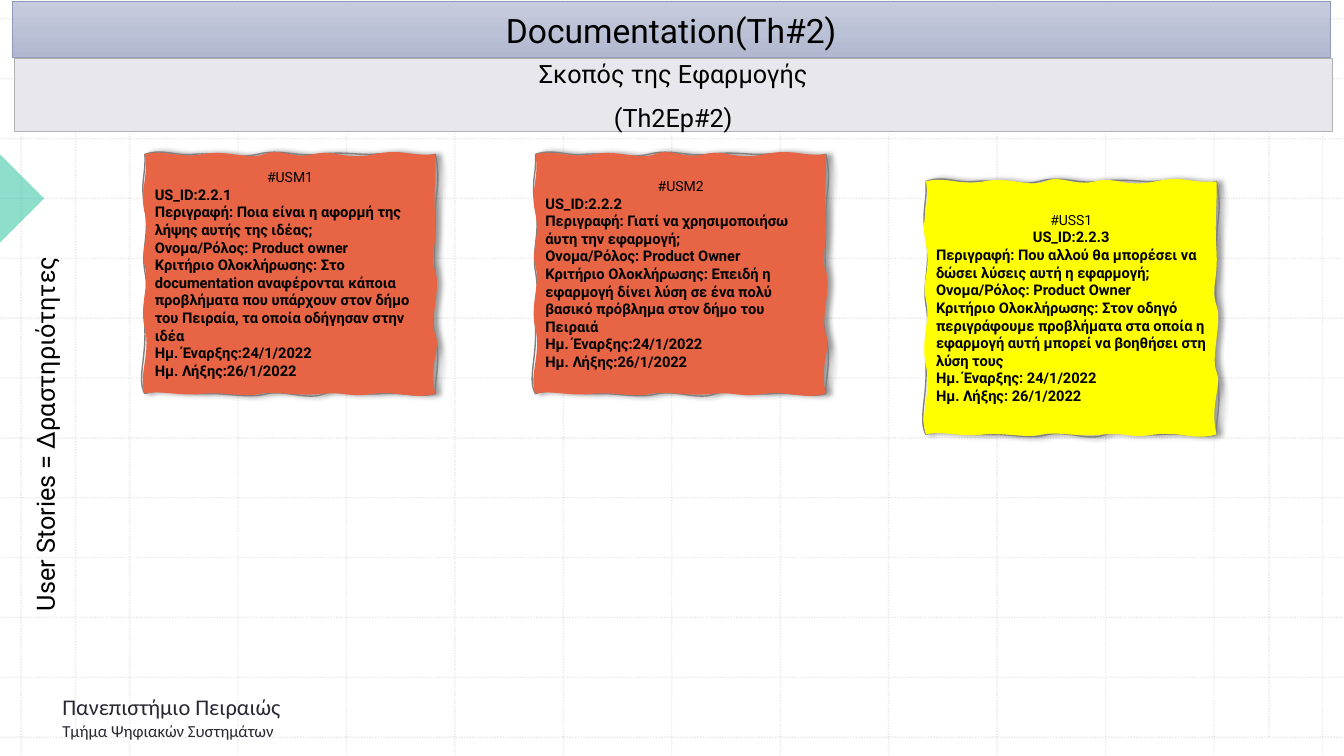
from lxml import etree
from pptx import Presentation
from pptx.dml.color import RGBColor
from pptx.enum.dml import MSO_LINE
from pptx.enum.shapes import MSO_CONNECTOR, MSO_SHAPE
from pptx.enum.text import MSO_ANCHOR, MSO_AUTO_SIZE, PP_ALIGN
from pptx.oxml import parse_xml
from pptx.oxml.ns import nsdecls, qn
from pptx.util import Pt

LEFT, CENTER = PP_ALIGN.LEFT, PP_ALIGN.CENTER
TOP, MIDDLE = MSO_ANCHOR.TOP, MSO_ANCHOR.MIDDLE
NO_FIT = MSO_AUTO_SIZE.NONE
RECT, CORNER = MSO_SHAPE.RECTANGLE, MSO_SHAPE.RIGHT_TRIANGLE
STRAIGHT, DOTS = MSO_CONNECTOR.STRAIGHT, MSO_LINE.ROUND_DOT

BLACK = RGBColor(0x00, 0x00, 0x00)
INK = RGBColor(0x2A, 0x27, 0x35)
GRID = RGBColor(0xBC, 0xBC, 0xBC)
MINT = RGBColor(0x1E, 0xBE, 0x9B)
PALE = RGBColor(0xE8, 0xE7, 0xED)
SILVER = RGBColor(0xB2, 0xB2, 0xB2)
LIGHT = RGBColor(0xC7, 0xCC, 0xDC)
DEEP = RGBColor(0xB1, 0xB8, 0xD0)
EDGE = RGBColor(0x8F, 0x99, 0xBB)
GRAY = RGBColor(0x80, 0x80, 0x80)
CORAL = RGBColor(0xE7, 0x64, 0x45)
YELLOW = RGBColor(0xFF, 0xFF, 0x00)

WIDE, HIGH = 960, 540

# Wavy note edges: curves from (0, 0), on a grid of 288 by 237
RIM = """19,-6 28,2 49,0  70,-2 90,5 112,0  135,-6 149,3 173,0
197,-3 214,1 227,0  240,-2 272,5 288,0  294,28 288,34 288,62
288,89 286,93 288,119  290,144 282,155 288,180  294,206 287,224 288,237
275,241 254,235 233,237  212,239 195,231 178,237  162,244 140,233 121,237
102,242 83,236 60,237  38,238 19,230 0,237  -8,224 1,203 0,173
-1,144 4,138 0,116  -4,95 5,78 0,52  -5,26 1,23 0,0"""
BODY = """19,-5 33,4 57,0  82,-5 102,6 118,0  134,-7 146,5 167,0
188,-5 198,6 227,0  257,-6 259,2 288,0  289,18 286,36 288,64
290,92 282,101 288,116  294,131 282,165 288,178  294,191 281,209 288,237
266,243 252,234 227,237  202,241 199,235 176,237  152,240 130,234 115,237
100,241 79,235 57,237  36,240 14,233 0,237  -7,220 6,197 0,173
-6,149 5,130 0,111  -5,93 5,85 0,59  -6,34 4,26 0,0"""

# Top, height, colour, alignment of the ID line, tag, lines
NOTES = [
    (110.2, 171, CORAL, LEFT, "#USM1", [
        "US_ID:2.2.1",
        "Περιγραφή: Ποια είναι η αφορμή της λήψης αυτής της ιδέας;",
        "Ονομα/Ρόλος: Product owner",
        "Κριτήριο Ολοκλήρωσης: Στο documentation αναφέρονται κάποια προβλήματα "
        "που υπάρχουν στον δήμο του Πειραία, τα οποία οδήγησαν στην ιδέα",
        "Ημ. Έναρξης:24/1/2022",
        "Ημ. Λήξης:26/1/2022"]),
    (110.2, 171, CORAL, LEFT, "#USM2", [
        "US_ID:2.2.2",
        "Περιγραφή: Γιατί να χρησιμοποιήσω άυτη την εφαρμογή;",
        "Ονομα/Ρόλος: Product Owner",
        "Κριτήριο Ολοκλήρωσης: Επειδή η εφαρμογή δίνει λύση σε ένα πολύ "
        "βασικό πρόβλημα στον δήμο του Πειραιά",
        "Ημ. Έναρξης:24/1/2022",
        "Ημ. Λήξης:26/1/2022"]),
    (129.6, 180.7, YELLOW, CENTER, "#USS1", [
        "US_ID:2.2.3",
        "Περιγραφή: Που αλλού θα μπορέσει να δώσει λύσεις αυτή η εφαρμογή;",
        "Ονομα/Ρόλος: Product Owner",
        "Κριτήριο Ολοκλήρωσης: Στον οδηγό περιγράφουμε προβλήματα στα οποία "
        "η εφαρμογή αυτή μπορεί να βοηθήσει στη λύση τους",
        "Ημ. Έναρξης: 24/1/2022",
        "Ημ. Λήξης: 26/1/2022"]),
]


def fade(part, percent):
    color = next(part.iter(qn("a:srgbClr")))
    etree.SubElement(color, qn("a:alpha")).set("val", str(percent * 1000))


def paint(shape, fill, edge=None, width=0.5):
    shape.shadow.inherit = False
    shape.fill.solid()
    shape.fill.fore_color.rgb = fill
    if edge is None:
        shape.line.fill.background()
    else:
        shape.line.color.rgb = edge
        shape.line.width = Pt(width)


def write(shape, lines, anchor=MIDDLE, color=BLACK, font="Roboto",
          space=None, after=0):
    """Each line is (text, size, bold, alignment)."""
    frame = shape.text_frame
    frame.word_wrap = True
    frame.auto_size = NO_FIT
    frame.vertical_anchor = anchor
    for i, (text, size, bold, align) in enumerate(lines):
        para = frame.add_paragraph() if i else frame.paragraphs[0]
        para.alignment = align
        para.space_after = Pt(after)
        if space:
            para.line_spacing = space
        run = para.add_run()
        run.text = text
        run.font.size, run.font.bold = Pt(size), bold
        run.font.name, run.font.color.rgb = font, color


def rule(slide, x1, y1, x2, y2):
    line = slide.shapes.add_connector(STRAIGHT, Pt(x1), Pt(y1), Pt(x2), Pt(y2))
    line.line.color.rgb = GRID
    line.line.width = Pt(1)
    line.line.dash_style = DOTS
    props = line._element.spPr
    fade(props, 30)
    etree.SubElement(props, qn("a:effectLst"))


def grid(slide):
    for i in range(13):
        x, y = 15.1 + 77.46 * i, 13.5 + 42.75 * i
        rule(slide, x, 0, x, HIGH)
        rule(slide, 0, y, WIDE, y)
    for x in (54, 906.5):
        rule(slide, x, 13.5, x, 526.5)


def curve(points, off):
    pairs = [pair.split(",") for pair in points.split()]
    dots = [f'<a:pt x="{x}" y="{y}"/>' for x, y in pairs]
    bends = "".join(f"<a:cubicBezTo>{''.join(dots[i:i + 3])}</a:cubicBezTo>"
                    for i in range(0, len(dots), 3))
    return parse_xml(
        f'<a:path {nsdecls("a")} w="288" h="237" {off}><a:moveTo>'
        f'<a:pt x="0" y="0"/></a:moveTo>{bends}<a:close/></a:path>')


def note(slide, left, top, high, fill, align, tag, lines):
    x, y, right, base = Pt(left), Pt(top), Pt(left + 207.4), Pt(top + high)
    pen = slide.shapes.build_freeform(x, y)
    pen.add_line_segments([(right, y), (right, base), (x, base)])
    shape = pen.convert_to_shape()
    paint(shape, fill, GRAY, 1)
    # Bend the edges: rim without fill, body without line
    props = shape._element.spPr
    paths = next(props.iter(qn("a:pathLst")))
    paths[:] = [curve(RIM, 'fill="none"'), curve(BODY, 'stroke="0"')]
    # Soft shadow to the right
    cast = etree.SubElement(props.find(qn("a:effectLst")), qn("a:outerShdw"),
                            blurRad=str(Pt(4)), dist=str(Pt(3)), dir="0",
                            algn="l", rotWithShape="0")
    etree.SubElement(cast, qn("a:srgbClr"), val=str(BLACK))
    fade(cast, 40)
    rows = [(tag, 10, False, CENTER), (lines[0], 10.5, True, align)]
    write(shape, rows + [(line, 10.5, True, LEFT) for line in lines[1:]])


def head(slide):
    title = slide.shapes.title
    title.left, title.top = Pt(8.5), Pt(1.3)
    title.width, title.height = Pt(941.8), Pt(39.8)
    title.fill.gradient()
    title.fill.gradient_angle = 270
    for stop, color in zip(title.fill.gradient_stops, (LIGHT, DEEP)):
        stop.color.rgb = color
    title.line.color.rgb = EDGE
    title.line.width = Pt(0.5)
    write(title, [("Documentation(Th#2)", 24, False, CENTER)])
    slide.shapes._spTree.append(title._element)  # in front of the grid


def main():
    deck = Presentation()
    deck.slide_width, deck.slide_height = Pt(WIDE), Pt(HIGH)
    slide = deck.slides.add_slide(deck.slide_layouts[5])
    shapes = slide.shapes

    # Backdrop
    grid(slide)
    mark = shapes.add_shape(CORNER, Pt(-22.3), Pt(119.5), Pt(44.6), Pt(44.6))
    mark.rotation = 225
    paint(mark, MINT)
    fade(mark._element.spPr, 50)

    # Headings
    band = shapes.add_shape(RECT, Pt(10), Pt(41.6), Pt(941.8), Pt(52))
    paint(band, PALE, SILVER)
    write(band, [("Σκοπός της Εφαρμογής", 18, False, CENTER),
                 ("(Th2Ep#2)", 18, False, CENTER)], space=1.07, after=8)
    head(slide)

    # Side label
    side = shapes.add_textbox(Pt(8.5), Pt(89.3), Pt(45.4), Pt(441.4))
    write(side, [("User Stories = Δραστηριότητες", 18, False, CENTER)],
          space=1.07, after=8)
    side.text_frame._txBody.bodyPr.set("vert", "vert270")

    # Footer
    foot = shapes.add_textbox(Pt(37.4), Pt(491.8), Pt(214.6), Pt(45.4))
    write(foot, [("Πανεπιστήμιο Πειραιώς", 16, False, LEFT),
                 ("Τμήμα Ψηφιακών Συστημάτων", 12, False, LEFT)],
          TOP, INK, "Calibri")

    # User stories
    for i, story in enumerate(NOTES):
        note(slide, 103.5 + 279 * i, *story)

    deck.save("out.pptx")


if __name__ == "__main__":
    main()
